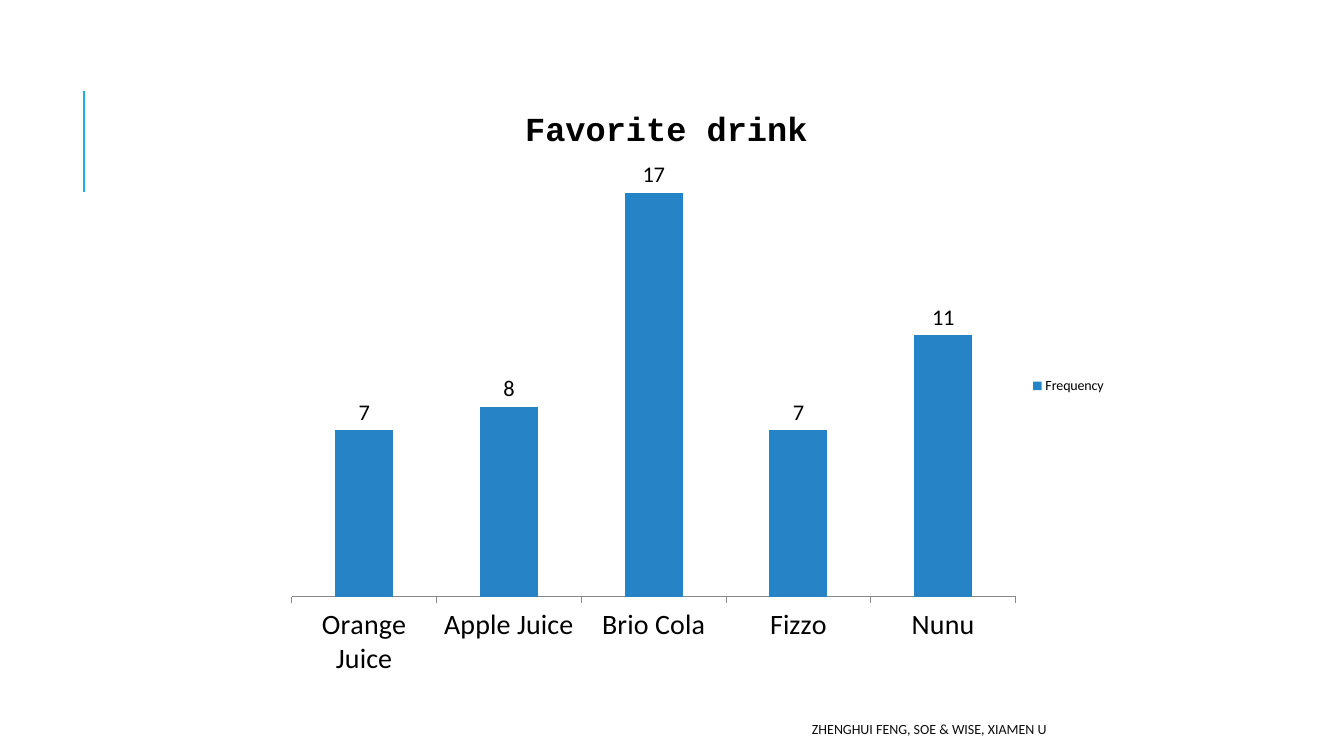
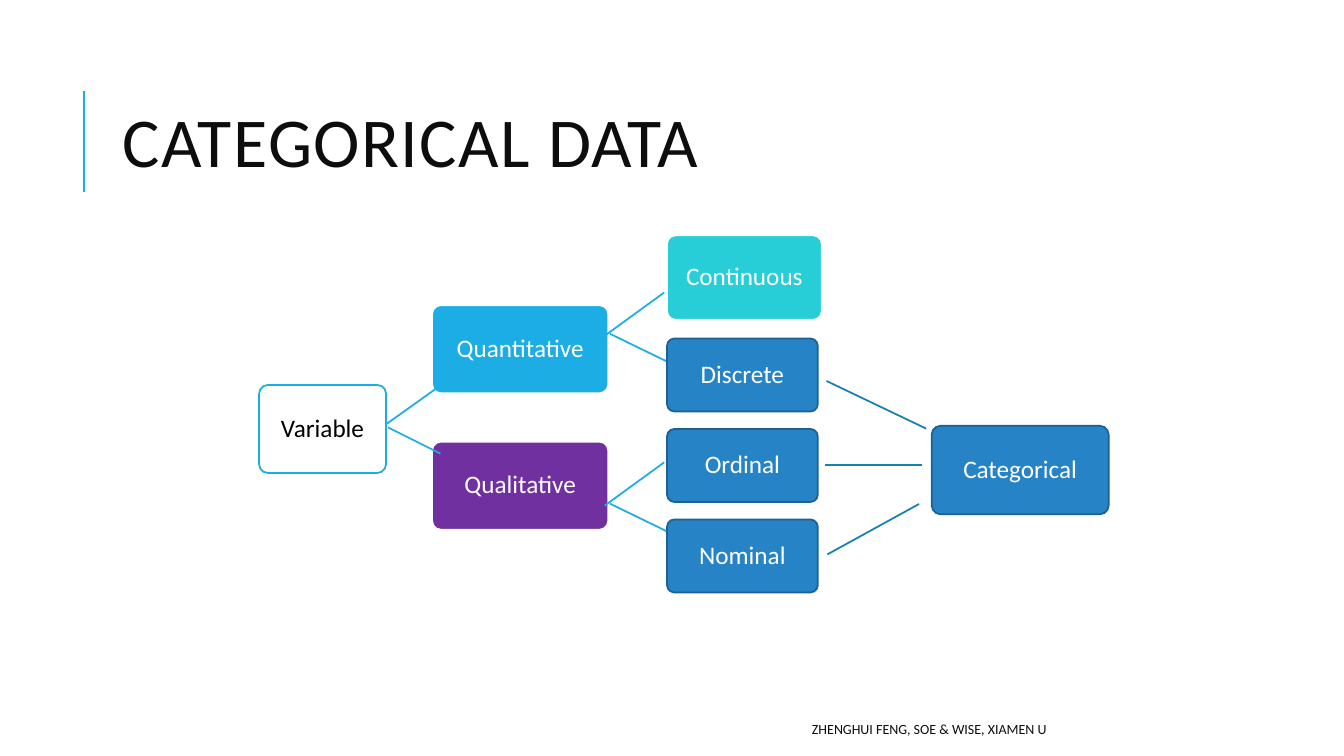
from dataclasses import dataclass

from pptx import Presentation
from pptx.chart.data import CategoryChartData
from pptx.dml.color import RGBColor as RGB
from pptx.enum.chart import XL_CHART_TYPE, XL_LABEL_POSITION, XL_LEGEND_POSITION, XL_TICK_LABEL_POSITION
from pptx.enum.chart import XL_TICK_MARK as TICK
from pptx.enum.shapes import MSO_CONNECTOR, MSO_SHAPE
from pptx.enum.text import MSO_ANCHOR as ANCHOR, MSO_AUTO_SIZE, PP_ALIGN as ALIGN
from pptx.oxml import parse_xml
from pptx.oxml.ns import nsdecls, qn
from pptx.oxml.xmlchemy import OxmlElement
from pptx.util import Cm, Pt


@dataclass(frozen=True)
class Theme:
    font: str = "Calibri"
    chart_title_font: str = "Courier New"
    ink: RGB = RGB(0x0D, 0x0D, 0x0D)
    black: RGB = RGB(0, 0, 0)
    white: RGB = RGB(0xFF, 0xFF, 0xFF)
    sky: RGB = RGB(0x1C, 0xAD, 0xE4)
    blue: RGB = RGB(0x26, 0x83, 0xC6)
    navy: RGB = RGB(0x1C, 0x61, 0x92)
    teal: RGB = RGB(0x27, 0xCE, 0xD7)
    purple: RGB = RGB(0x70, 0x30, 0xA0)
    link: RGB = RGB(0x14, 0x82, 0xAC)
    axis: RGB = RGB(0x88, 0x88, 0x88)
    title: Pt = Pt(50)
    chart_title: Pt = Pt(24)
    category: Pt = Pt(20)
    node: Pt = Pt(18)
    value: Pt = Pt(16)
    small: Pt = Pt(10)
    accent_line: Pt = Pt(1.5)
    line: Pt = Pt(1.25)


T = Theme()


def add_line(slide, x1, y1, x2, y2, color, width=T.line):
    """Draw a straight line between two points given in centimetres."""
    cx = slide.shapes.add_connector(MSO_CONNECTOR.STRAIGHT, Cm(x1), Cm(y1), Cm(x2), Cm(y2))
    cx.line.color.rgb = color
    cx.line.width = width
    cx._element.spPr.append(OxmlElement("a:effectLst"))


def add_node(slide, text, x, y, w, h, fill, border, color=T.white):
    """Draw a rounded, labelled box; lengths in centimetres."""
    sp = slide.shapes.add_shape(MSO_SHAPE.ROUNDED_RECTANGLE, Cm(x), Cm(y), Cm(w), Cm(h))
    sp.adjustments[0] = 0.1
    sp.shadow.inherit = False
    sp.fill.solid()
    sp.fill.fore_color.rgb = fill
    sp.line.color.rgb = border
    sp.line.width = T.line
    tf = sp.text_frame
    tf.margin_left = tf.margin_right = tf.margin_top = tf.margin_bottom = Cm(0.15)
    tf.vertical_anchor = ANCHOR.MIDDLE
    p = tf.paragraphs[0]
    p.alignment = ALIGN.CENTER
    p.line_spacing = 0.9
    r = p.add_run()
    r.text = text
    r.font.name, r.font.size, r.font.color.rgb = T.font, T.node, color


prs = Presentation()
prs.slide_width, prs.slide_height = Cm(33.87), Cm(19.05)
drinks = prs.slides.add_slide(prs.slide_layouts[6])
tree = prs.slides.add_slide(prs.slide_layouts[5])

# Favorite drink: column chart
data = CategoryChartData()
data.categories = ["Orange Juice", "Apple Juice", "Brio Cola", "Fizzo", "Nunu"]
data.add_series("Frequency", (7, 8, 17, 7, 11))
chart = drinks.shapes.add_chart(XL_CHART_TYPE.COLUMN_CLUSTERED, Cm(6.93), Cm(2.13),
                                Cm(21.21), Cm(15.19), data).chart
chart.font.name, chart.font.size, chart.font.color.rgb = T.font, T.small, T.black

chart.has_title = True
r = chart.chart_title.text_frame.paragraphs[0].add_run()
r.text = "Favorite drink"
r.font.name, r.font.size, r.font.bold = T.chart_title_font, T.chart_title, True
r.font.color.rgb = T.black

chart.has_legend = True
chart.legend.position = XL_LEGEND_POSITION.RIGHT
chart.legend.include_in_layout = False

cat_axis, val_axis = chart.category_axis, chart.value_axis
cat_axis.major_tick_mark = TICK.OUTSIDE
cat_axis.tick_labels.font.size = T.category
cat_axis.format.line.color.rgb = T.axis
val_axis.visible = False
val_axis.has_major_gridlines = False
val_axis.minimum_scale, val_axis.maximum_scale = 0, 18
val_axis.tick_label_position = XL_TICK_LABEL_POSITION.NONE

plot = chart.plots[0]
plot.gap_width = 150
plot.vary_by_categories = False
plot.has_data_labels = True
labels = plot.data_labels
labels.show_value = True
labels.position = XL_LABEL_POSITION.OUTSIDE_END
labels.font.size = T.value
bars = plot.series[0].format.fill
bars.solid()
bars.fore_color.rgb = T.blue

# Fixed places for the chart title and the plot, as shares of the chart
plot_area = chart._chartSpace.find(".//" + qn("c:plotArea"))
for parent, index, target, place in (
    (chart.chart_title._element, 1, "", {"x": 0.29, "y": 0.03}),
    (plot_area, 0, '<c:layoutTarget val="inner"/>', {"x": 0.02, "y": 0.14, "w": 0.86, "h": 0.71}),
):
    old = parent.find(qn("c:layout"))
    if old is not None:
        parent.remove(old)
    modes = "".join(f'<c:{k}Mode val="edge"/>' for k in "xy")
    sizes = "".join(f'<c:{k} val="{v}"/>' for k, v in place.items())
    parent.insert(index, parse_xml(
        f'<c:layout {nsdecls("c")}><c:manualLayout>{target}{modes}{sizes}</c:manualLayout></c:layout>'))

# Categorical data: tree of variable types
title = tree.shapes.title
title.left, title.top, title.width, title.height = Cm(2.84), Cm(1.63), Cm(27), Cm(4.17)
tf = title.text_frame
tf.auto_size = MSO_AUTO_SIZE.NONE
tf.vertical_anchor = ANCHOR.MIDDLE
p = tf.paragraphs[0]
p.alignment = ALIGN.LEFT
p.line_spacing = 0.8
r = p.add_run()
r.text = "CATEGORICAL DATA"
r.font.name, r.font.size, r.font.color.rgb = T.font, T.title, T.ink
r._r.get_or_add_rPr().set("spc", "100")

add_node(tree, "Quantitative", 10.89, 7.69, 4.44, 2.22, T.sky, T.white)
add_node(tree, "Qualitative", 10.89, 11.13, 4.44, 2.22, T.purple, T.white)
for drop in (0, 4.28):
    add_line(tree, 15.24, 8.46 + drop, 16.74, 7.37 + drop, T.sky)
    add_line(tree, 15.37, 8.41 + drop, 16.87, 9.14 + drop, T.sky)

add_node(tree, "Continuous", 16.81, 5.93, 3.9, 2.13, T.teal, T.white)
for i, kind in enumerate(("Discrete", "Ordinal", "Nominal")):
    add_node(tree, kind, 16.81, 8.53 + 2.28 * i, 3.8, 1.84, T.blue, T.navy)

add_node(tree, "Categorical", 23.48, 10.73, 4.46, 2.23, T.blue, T.navy)
for ends in ((20.83, 9.6, 23.34, 10.8), (20.8, 11.71, 23.24, 11.71), (20.85, 13.97, 23.16, 12.7)):
    add_line(tree, *ends, T.link)

add_node(tree, "Variable", 6.53, 9.7, 3.2, 2.22, T.white, T.sky, T.black)
add_line(tree, 9.73, 10.69, 11.05, 9.75, T.sky)
add_line(tree, 9.78, 10.77, 11.1, 11.43, T.sky)

# Accent line and footer on every slide
for slide in prs.slides:
    add_line(slide, 2.12, 4.83, 2.12, 2.29, T.sky, T.accent_line)
    tf = slide.shapes.add_textbox(Cm(14.33), Cm(17.98), Cm(12.29), Cm(0.76)).text_frame
    tf.word_wrap = True
    tf.vertical_anchor = ANCHOR.MIDDLE
    p = tf.paragraphs[0]
    p.alignment = ALIGN.RIGHT
    r = p.add_run()
    r.text = "ZHENGHUI FENG, SOE & WISE, XIAMEN U"
    r.font.name, r.font.size, r.font.color.rgb = T.font, T.small, T.ink

prs.save("out.pptx")
